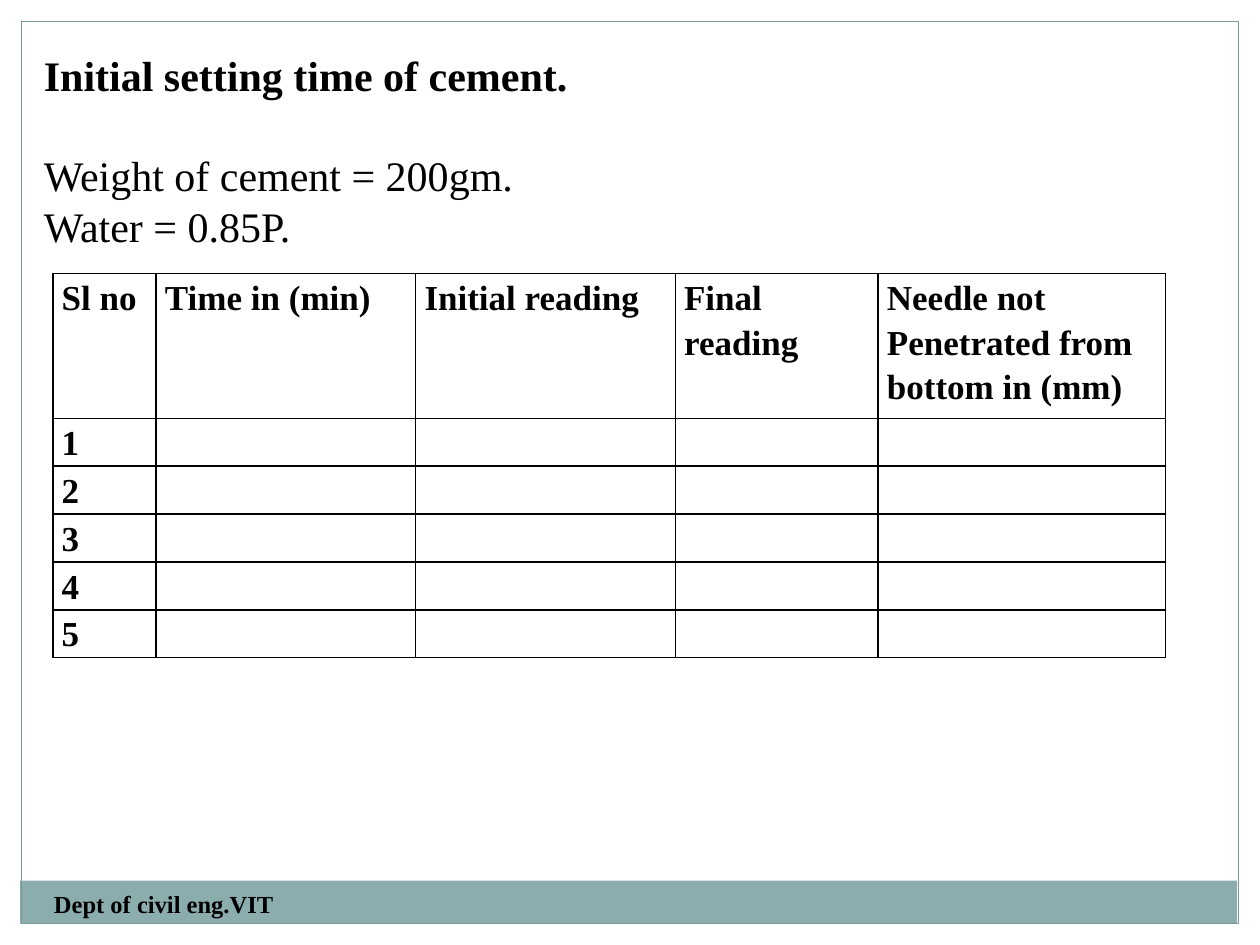
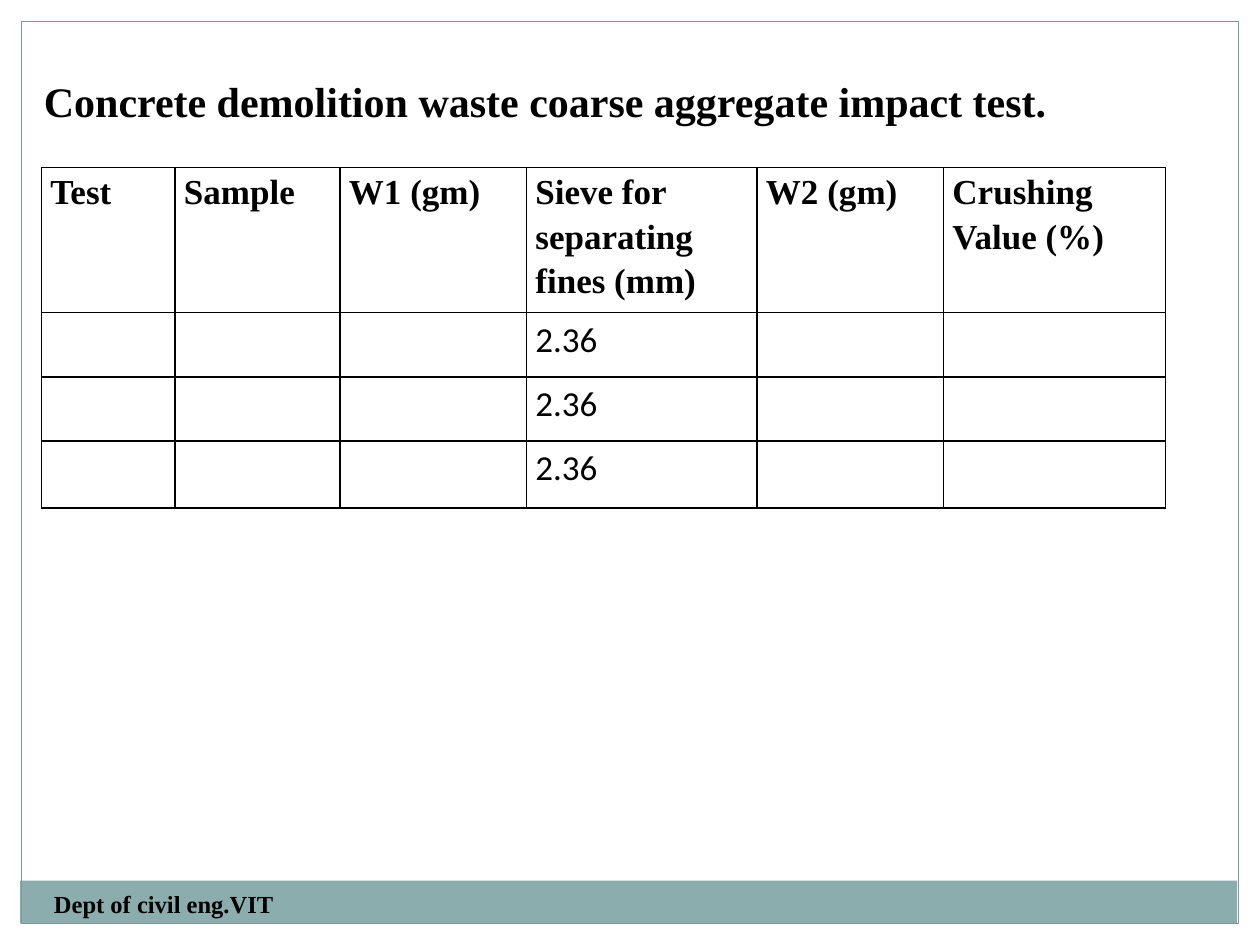
import pptx
import pptx.util
import pptx.dml.color
import pptx.enum.shapes
import pptx.enum.text
import pptx.oxml
import pptx.oxml.ns
import lxml.etree

Inches = pptx.util.Inches
Pt = pptx.util.Pt
RGB = pptx.dml.color.RGBColor
ALIGN = pptx.enum.text.PP_ALIGN
RECT = pptx.enum.shapes.MSO_SHAPE.RECTANGLE

BLACK = RGB(0x00, 0x00, 0x00)
WHITE = RGB(0xFF, 0xFF, 0xFF)
BAND = RGB(0x8C, 0xAD, 0xAE)
FRAME = RGB(0x7C, 0x99, 0x9A)
SERIF = "Times New Roman"
SANS = "Calibri"
WIDE, HIGH, EDGE = 10, 7.5, 0.17


def style(para, size, bold=True, face=SERIF):
    font = para.font
    font.name = face
    font.size = Pt(size)
    font.bold = bold
    font.color.rgb = BLACK


def add_rect(slide, box, fill=None, line=None):
    shape = slide.shapes.add_shape(RECT, *map(Inches, box))
    shape.shadow.inherit = False
    if fill is None:
        shape.fill.background()
    else:
        shape.fill.solid()
        shape.fill.fore_color.rgb = fill
    if line is None:
        shape.line.fill.background()
    else:
        shape.line.color.rgb = line
        shape.line.width = Pt(0.75)


def add_text(slide, box, lines, size):
    frame = slide.shapes.add_textbox(*map(Inches, box)).text_frame
    frame.word_wrap = True
    for i, (text, bold, gap) in enumerate(lines):
        para = frame.paragraphs[0] if i == 0 else frame.add_paragraph()
        para.text = text
        if gap:
            para.space_before = Pt(gap)
        style(para, size, bold)
    return frame


def add_head(slide, box, lines):
    frame = add_text(slide, box, lines, 24)
    frame.vertical_anchor = pptx.enum.text.MSO_ANCHOR.MIDDLE
    return frame


def add_base(deck):
    slide = deck.slides.add_slide(deck.slide_layouts[6])
    for box in ((0, 0, WIDE, EDGE), (WIDE - EDGE, 0, EDGE, HIGH),
                (0, 0, EDGE, HIGH)):
        add_rect(slide, box, WHITE)
    add_rect(slide, (0.16, 6.99, 9.66, 0.34), BAND)
    add_rect(slide, (EDGE, EDGE, WIDE - 2 * EDGE, HIGH - 2 * EDGE),
             line=FRAME)
    return slide


def add_foot(slide):
    add_text(slide, (0.33, 7.01, 3.92, 0.4),
             [("Dept of civil eng.VIT", True, 0)], 14)


def add_edges(cell):
    props = cell._tc.get_or_add_tcPr()
    name = pptx.oxml.ns.qn
    for i, side in enumerate(("a:lnL", "a:lnR", "a:lnT", "a:lnB")):
        line = lxml.etree.Element(name(side), w=str(Pt(1)))
        fill = lxml.etree.SubElement(line, name("a:solidFill"))
        lxml.etree.SubElement(fill, name("a:srgbClr"), val=str(BLACK))
        props.insert(i, line)


def add_grid(slide, box, cols, rows, data, ragged, face=SERIF, bold=True):
    table = slide.shapes.add_table(len(rows), len(cols),
                                   *map(Inches, box)).table
    table.first_row = table.horz_banding = False
    for col, width in zip(table.columns, cols):
        col.width = Inches(width)
    for r, (row, high) in enumerate(zip(table.rows, rows)):
        row.height = Inches(high)
        for c, cell in enumerate(row.cells):
            cell.text = data[r][c]
            cell.margin_left = cell.margin_right = Inches(0.07)
            cell.margin_top = cell.margin_bottom = 0
            cell.fill.background()
            add_edges(cell)
            for para in cell.text_frame.paragraphs:
                left = r == 0 and c == ragged
                para.alignment = ALIGN.LEFT if left else ALIGN.JUSTIFY
                para.line_spacing = 1.15
                if r == 0:
                    style(para, 20)
                else:
                    style(para, 20, bold, face)


def add_setting(deck):
    slide = add_base(deck)
    head = ["Sl no", "Time in (min)", "Initial reading", "Final reading",
            "Needle not Penetrated from bottom in (mm)"]
    body = [[str(n)] + [""] * 4 for n in range(1, 6)]
    add_grid(slide, (0.42, 2.17, 8.83, 3.07), (0.82, 2.06, 2.06, 1.61, 2.28),
             [1.15] + [0.38] * 5, [head] + body, 4)
    add_head(slide, (0.25, 0.33, 8, 1.72),
             [("Initial setting time of cement.", True, 0),
              ("Weight of cement = 200gm.", False, 28.5),
              ("Water = 0.85P.", False, 0)])
    add_foot(slide)


def add_impact(deck):
    slide = add_base(deck)
    title = add_head(slide, (0.25, 0.55, 9.17, 0.5),
                     [("Concrete demolition waste coarse aggregate "
                       "impact test.", True, 0)])
    title.paragraphs[0].alignment = ALIGN.JUSTIFY
    head = ["Test", "Sample", "W1 (gm)", "Sieve for separating fines (mm)",
            "W2 (gm)", "Crushing\nValue (%)"]
    body = [["", "", "", "2.36", "", ""]] * 3
    add_grid(slide, (0.33, 1.33, 8.92, 2.7),
             (1.06, 1.31, 1.48, 1.83, 1.48, 1.76),
             [1.15, 0.51, 0.51, 0.53], [head] + body, 3, SANS, False)
    add_foot(slide)


def main():
    deck = pptx.Presentation()
    deck.slide_width = Inches(WIDE)
    deck.slide_height = Inches(HIGH)
    add_setting(deck)
    add_impact(deck)
    deck.save("out.pptx")


if __name__ == "__main__":
    main()
